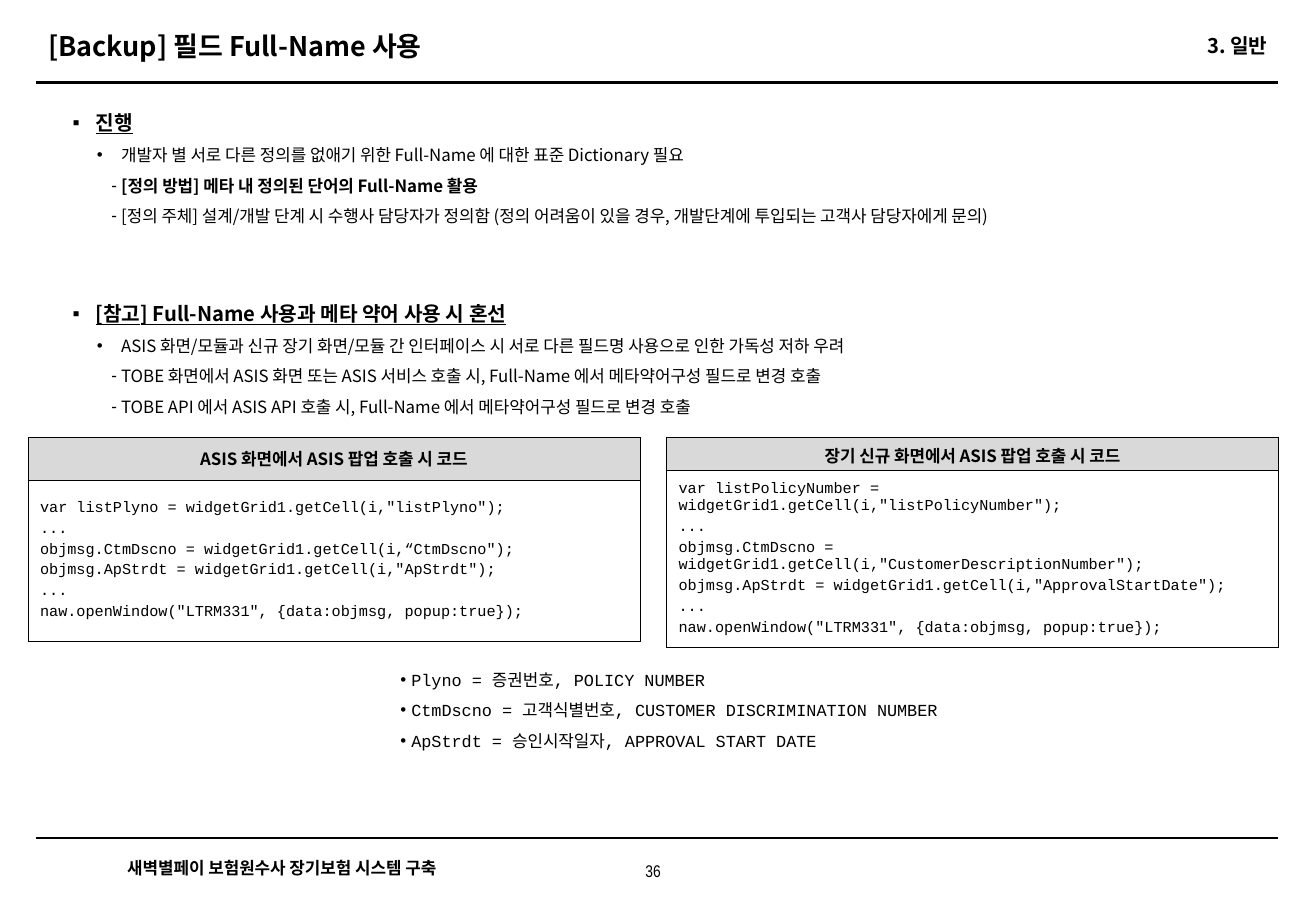
from lxml import etree
from pptx import Presentation, util as u
from pptx.dml.color import RGBColor
from pptx.enum import shapes, text
from pptx.oxml.ns import qn

SANS, MONO, NARROW = "Noto Sans CJK KR", "Courier New", "Arial Narrow"
BLACK, WHITE, GRAY = "000000", "FFFFFF", "D9D9D9"
LEFT, CENTER, RIGHT = text.PP_ALIGN.LEFT, text.PP_ALIGN.CENTER, text.PP_ALIGN.RIGHT
TOP, MIDDLE = text.MSO_ANCHOR.TOP, text.MSO_ANCHOR.MIDDLE


def rgb(value):
    return RGBColor.from_string(value)


def write(p, content, size=10, font=SANS, east=SANS, bold=False, underline=False,
          align=LEFT, before=None, spacing=None, level=0, bullet=None,
          margin=0, hang=0):
    """Fill a paragraph with one formatted run; margin and hang are in inches."""
    p.alignment, p.level = align, level
    if spacing:
        p.line_spacing = spacing
    if before is not None:
        p.space_before = u.Pt(before)
    if bullet:
        ppr = p._p.get_or_add_pPr()
        ppr.set("marL", str(u.Inches(margin)))
        ppr.set("indent", str(-u.Inches(hang)))
        color = etree.SubElement(ppr, qn("a:buClr"))
        etree.SubElement(color, qn("a:srgbClr"), val=BLACK)
        etree.SubElement(ppr, qn("a:buFont"), typeface="Arial")
        etree.SubElement(ppr, qn("a:buChar"), char=bullet)
    r = p.add_run()
    r.text = content
    f = r.font
    f.size, f.name, f.bold, f.underline = u.Pt(size), font, bold, underline
    f.color.rgb = rgb(BLACK)
    latin = r._r.get_or_add_rPr().find(qn("a:latin"))
    ea = etree.Element(qn("a:ea"), typeface=east)
    latin.addnext(ea)


HEADING = dict(size=12, bold=True, underline=True, spacing=1.5,
               bullet="▪", margin=0.19, hang=0.19)
POINT = dict(level=1, spacing=1.5, bullet="•", margin=0.4, hang=0.2)
DASH = dict(POINT, bullet="-", hang=0.08)
NOTE = dict(font=MONO, spacing=1.5, bullet="•", margin=0.09, hang=0.09)
TABLE_HEAD = dict(bold=True, align=CENTER)
CODE = dict(size=9, font=MONO, east=MONO)


class Page:
    """Holds the slide and draws each kind of element on it."""

    def __init__(self, prs):
        self.s = prs.slides.add_slide(prs.slide_layouts[6])

    def fill_frame(self, tf, lines, first_before=None, before=None):
        for i, (content, style) in enumerate(lines):
            p = tf.paragraphs[0] if i == 0 else tf.add_paragraph()
            write(p, content, before=before if i else first_before, **style)

    def text_box(self, x, y, w, h, lines, anchor=TOP):
        sp = self.s.shapes.add_textbox(*map(u.Inches, (x, y, w, h)))
        tf = sp.text_frame
        tf.word_wrap, tf.vertical_anchor = True, anchor
        self.fill_frame(tf, lines)

    def rule(self, y, width):
        line = self.s.shapes.add_connector(
            shapes.MSO_CONNECTOR.STRAIGHT,
            *map(u.Inches, (0.3, y, 10.53, y)))
        line.line.color.rgb, line.line.width = rgb(BLACK), u.Pt(width)
        etree.SubElement(line._element.spPr, qn("a:effectLst"))

    def cell(self, cell, fill, lines, before=None):
        tcpr = cell._tc.get_or_add_tcPr()
        for side in ("lnL", "lnR", "lnT", "lnB"):
            ln = etree.SubElement(tcpr, qn("a:" + side), w=str(u.Pt(0.23)))
            solid = etree.SubElement(ln, qn("a:solidFill"))
            etree.SubElement(solid, qn("a:srgbClr"), val=BLACK)
        cell.fill.solid()
        cell.fill.fore_color.rgb = rgb(fill)
        cell.vertical_anchor = MIDDLE
        self.fill_frame(cell.text_frame, lines, before=before)

    def code_table(self, x, heights, title, code):
        frame = self.s.shapes.add_table(
            2, 1, *map(u.Inches, (x, 3.6, 5.04, sum(heights))))
        table = frame.table
        table.first_row = table.horz_banding = False
        for row, height in zip(table.rows, heights):
            row.height = u.Inches(height)
        self.cell(table.cell(0, 0), GRAY, [(title, TABLE_HEAD)])
        self.cell(table.cell(1, 0), WHITE, [(c, CODE) for c in code], before=2.2)


def main():
    prs = Presentation()
    prs.slide_width, prs.slide_height = u.Inches(10.84), u.Inches(7.5)
    page = Page(prs)

    page.rule(0.68, 2)
    page.rule(6.9, 0.75)
    page.text_box(5.03, 7.04, 0.7, 0.27,
                  [("36", dict(font=NARROW, align=CENTER))])
    page.text_box(0.95, 7.01, 3.2, 0.27,
                  [("새벽별페이 보험원수사 장기보험 시스템 구축", dict(bold=True))])
    page.text_box(0.3, 0.18, 5.28, 0.39,
                  [("[Backup] 필드 Full-Name 사용", dict(size=16, bold=True))], MIDDLE)
    page.text_box(6.68, 0.18, 3.86, 0.39,
                  [("3. 일반", dict(size=12, bold=True, align=RIGHT))], MIDDLE)

    page.text_box(0.5, 0.76, 9.2, 1.15, [
        ("진행", HEADING),
        ("개발자 별 서로 다른 정의를 없애기 위한 Full-Name 에 대한 표준 Dictionary 필요", POINT),
        ("[정의 방법] 메타 내 정의된 단어의 Full-Name 활용", dict(DASH, bold=True)),
        ("[정의 주체] 설계/개발 단계 시 수행사 담당자가 정의함 "
         "(정의 어려움이 있을 경우, 개발단계에 투입되는 고객사 담당자에게 문의)", DASH),
    ])
    page.text_box(0.5, 2.33, 7.6, 1.2, [
        ("[참고] Full-Name 사용과 메타 약어 사용 시 혼선", HEADING),
        ("ASIS 화면/모듈과 신규 장기 화면/모듈 간 인터페이스 시 "
         "서로 다른 필드명 사용으로 인한 가독성 저하 우려", POINT),
        ("TOBE 화면에서 ASIS 화면 또는 ASIS 서비스 호출 시, "
         "Full-Name 에서 메타약어구성 필드로 변경 호출", DASH),
        ("TOBE API 에서 ASIS API 호출 시, Full-Name 에서 메타약어구성 필드로 변경 호출", DASH),
    ])

    open_popup = 'naw.openWindow("LTRM331", {data:objmsg, popup:true});'
    page.code_table(0.23, (0.35, 1.33), "ASIS 화면에서 ASIS 팝업 호출 시 코드", [
        'var listPlyno = widgetGrid1.getCell(i,"listPlyno");',
        "...",
        'objmsg.CtmDscno = widgetGrid1.getCell(i,“CtmDscno");',
        'objmsg.ApStrdt = widgetGrid1.getCell(i,"ApStrdt");',
        "...",
        open_popup,
    ])
    page.code_table(5.49, (0.27, 1.46), "장기 신규 화면에서 ASIS 팝업 호출 시 코드", [
        'var listPolicyNumber = widgetGrid1.getCell(i,"listPolicyNumber");',
        "...",
        'objmsg.CtmDscno = widgetGrid1.getCell(i,"CustomerDescriptionNumber");',
        'objmsg.ApStrdt = widgetGrid1.getCell(i,"ApprovalStartDate");',
        "...",
        open_popup,
    ])
    page.text_box(3.2, 5.38, 5.2, 0.85, [
        ("Plyno = 증권번호, POLICY NUMBER", NOTE),
        ("CtmDscno = 고객식별번호, CUSTOMER DISCRIMINATION NUMBER", NOTE),
        ("ApStrdt = 승인시작일자, APPROVAL START DATE", NOTE),
    ])
    prs.save("out.pptx")


if __name__ == "__main__":
    main()
